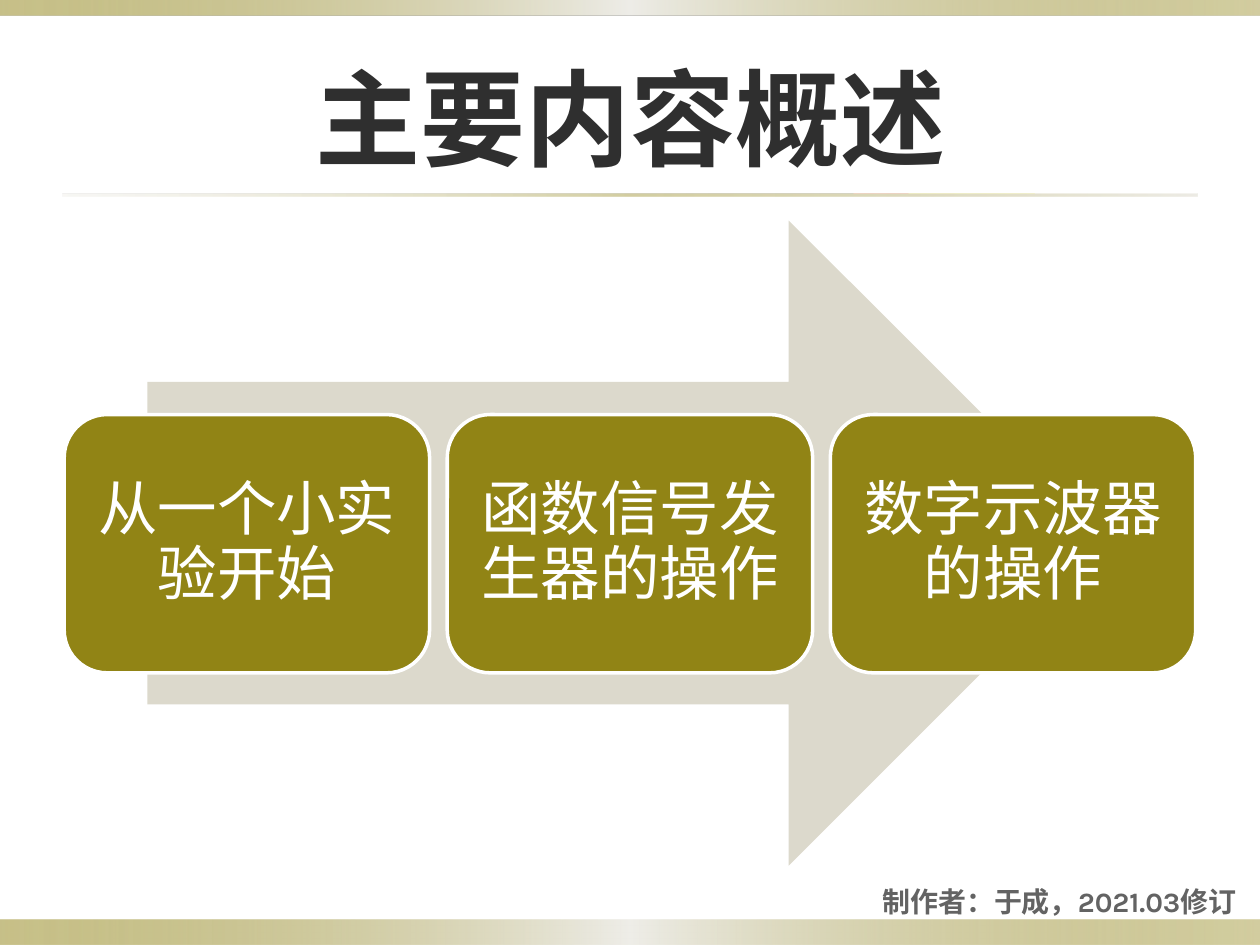
from lxml import etree
from pptx import Presentation
from pptx.dml.color import RGBColor
from pptx.enum import shapes, text
from pptx.oxml import ns
from pptx.util import Inches, Pt

THEME = {
    "font": "Karla",
    "olive": "918415", "sand": "DCD9CC", "mist": "EEEDE8",
    "white": "FFFFFF", "ink": "2F2F2F", "grey": "636363",
    "title": 60, "step": 34, "credit": 16,
}


def add_figure(kind, left, top, width, height):
    figure = page.shapes.add_shape(kind, *map(Inches, (left, top, width, height)))
    figure.shadow.inherit = False
    figure.line.fill.background()
    return figure


def write(frame, wording, size, color, bold, align):
    frame.word_wrap = True
    frame.auto_size = text.MSO_AUTO_SIZE.NONE
    frame.vertical_anchor = text.MSO_ANCHOR.MIDDLE
    para = frame.paragraphs[0]
    para.alignment = align
    span = para.add_run()
    span.text = wording
    style = {"name": THEME["font"], "size": Pt(THEME[size]), "bold": bold}
    for name, value in style.items():
        setattr(span.font, name, value)
    span.font.color.rgb = RGBColor.from_string(THEME[color])
    return para


deck = Presentation()
deck.slide_width, deck.slide_height = Inches(10), Inches(7.5)
page = deck.slides.add_slide(deck.slide_layouts[5])

edge_stops = [(0, "olive", 50), (50, "mist", 100), (100, "olive", 40)]
rule_stops = [(0, "sand", 20), (50, "olive", 40), (100, "sand", 50)]
bands = [
    (0, 7.3, 10, 0.2, edge_stops),
    (0, 0, 10, 0.12, edge_stops),
    (0.5, 1.54, 9, 0.02, rule_stops),
]
for *place, stops in bands:
    band = add_figure(shapes.MSO_SHAPE.RECTANGLE, *place)
    band.fill.gradient()
    band.fill.gradient_angle = 0
    stop_list = band.element.spPr.find(ns.qn("a:gradFill")).find(ns.qn("a:gsLst"))
    for old_stop in list(stop_list):
        stop_list.remove(old_stop)
    for position, color, opacity in stops:
        stop = etree.SubElement(stop_list, ns.qn("a:gs"), pos=str(position * 1000))
        tint = etree.SubElement(stop, ns.qn("a:srgbClr"), val=THEME[color])
        etree.SubElement(tint, ns.qn("a:alpha"), val=str(opacity * 1000))

title = page.shapes.title
title_place = {"left": 0.5, "top": 0.3, "width": 9, "height": 1.25}
for name, value in title_place.items():
    setattr(title, name, Inches(value))
write(title.text_frame, "主要内容概述", "title", "ink", True, text.PP_ALIGN.CENTER)

arrow = add_figure(shapes.MSO_SHAPE.RIGHT_ARROW, 1.17, 1.75, 7.65, 5.12)
arrow.fill.solid()
arrow.fill.fore_color.rgb = RGBColor.from_string(THEME["sand"])

steps = ["从一个小实验开始", "函数信号发生器的操作", "数字示波器的操作"]
for index, wording in enumerate(steps):
    box = add_figure(shapes.MSO_SHAPE.ROUNDED_RECTANGLE, 0.51 + 3.04 * index, 3.29, 2.9, 2.05)
    box.fill.solid()
    box.fill.fore_color.rgb = RGBColor.from_string(THEME["olive"])
    box.line.color.rgb = RGBColor.from_string(THEME["white"])
    box.line.width = Pt(2)
    for side in ("left", "top", "right", "bottom"):
        setattr(box.text_frame, f"margin_{side}", Inches(0.14))
    para = write(box.text_frame, wording, "step", "white", False, text.PP_ALIGN.CENTER)
    para.line_spacing = 0.9
    space_after = etree.SubElement(para._p.get_or_add_pPr(), ns.qn("a:spcAft"))
    etree.SubElement(space_after, ns.qn("a:spcPct"), val="35000")

credit = page.shapes.add_textbox(Inches(5.83), Inches(7), Inches(4.08), Inches(0.31))
write(credit.text_frame, "制作者：于成，2021.03修订", "credit", "grey", True, text.PP_ALIGN.RIGHT)

deck.save("out.pptx")
